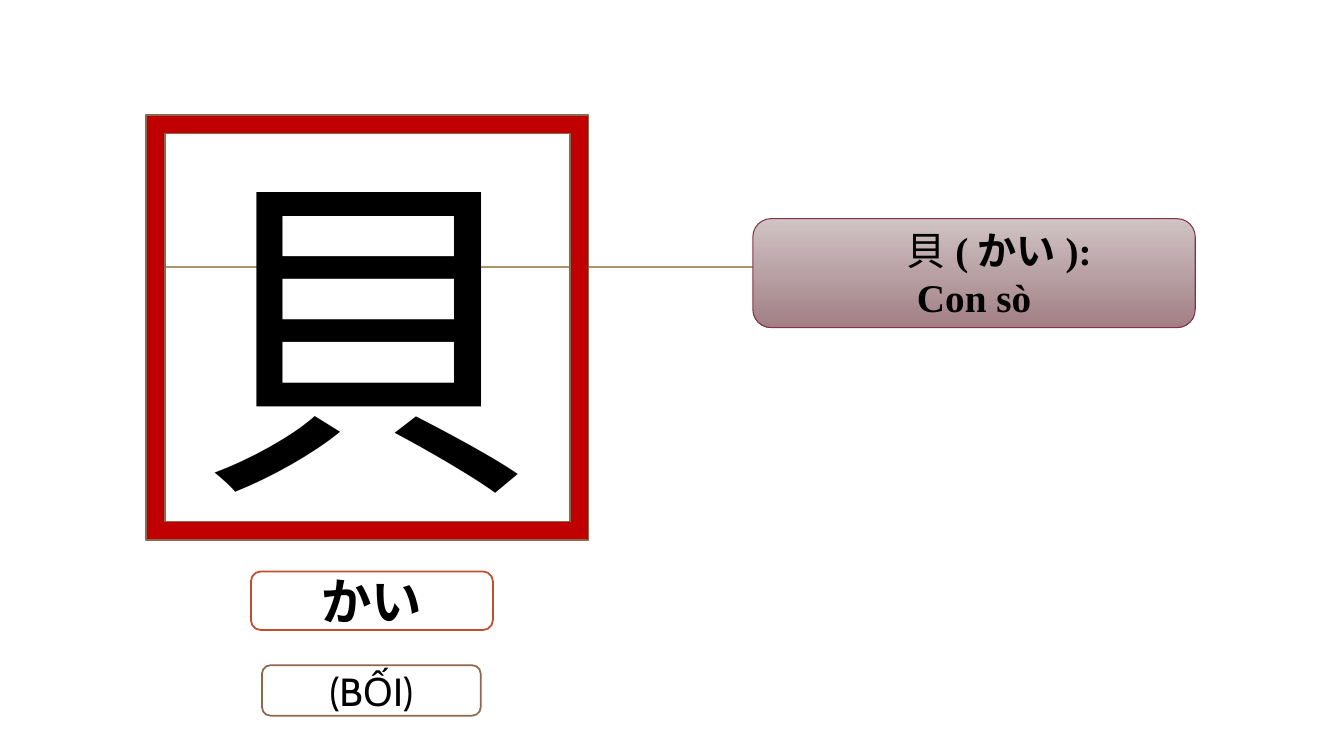
"""Build a kanji card slide with its reading and meaning."""
from lxml import etree
from pptx import Presentation, util as u
from pptx.dml import color
from pptx.enum import shapes, text
from pptx.oxml import ns

COLORS = {
    "black": "000000", "white": "FFFFFF", "red": "C00000",
    "brown": "8E684C", "tan": "AB946B", "orange": "C04F32",
    "plum": "803348", "mauve_light": "D0C3C5", "mauve_dark": "A17F85",
}
SERIF = "Times New Roman"
ROUNDED = shapes.MSO_SHAPE.ROUNDED_RECTANGLE


def rgb(name):
    """Return the named colour."""
    return color.RGBColor.from_string(COLORS[name])


def set_line(line, name, width):
    """Set the colour and width of a line."""
    line.color.rgb = rgb(name)
    line.width = u.Pt(width)


def add_rule(page, left, right, top):
    """Draw the horizontal rule behind the cards."""
    rule = page.shapes.add_connector(
        shapes.MSO_CONNECTOR.STRAIGHT, u.Pt(left), u.Pt(top), u.Pt(right), u.Pt(top))
    set_line(rule.line, "tan", 1.25)
    etree.SubElement(rule._element.spPr, ns.qn("a:effectLst"))


def add_box(page, kind, place, fills, outline, width=1.25):
    """Draw a box with a solid fill, or a downward gradient for two colours."""
    box = page.shapes.add_shape(kind, *(u.Pt(length) for length in place))
    box.shadow.inherit = False
    if len(fills) == 1:
        box.fill.solid()
        box.fill.fore_color.rgb = rgb(fills[0])
    else:
        box.fill.gradient()
        box.fill.gradient_angle = 270
        for stop, name in zip(box.fill.gradient_stops, fills):
            stop.color.rgb = rgb(name)
    set_line(box.line, outline, width)
    return box


def write(box, *lines):
    """Write centred lines, each a list of (words, format) spans."""
    frame = box.text_frame
    frame.word_wrap = True
    frame.vertical_anchor = text.MSO_ANCHOR.MIDDLE
    for index, spans in enumerate(lines):
        para = frame.add_paragraph() if index else frame.paragraphs[0]
        para.alignment = text.PP_ALIGN.CENTER
        for words, values in spans:
            span = para.add_run()
            span.text = words
            span.font.color.rgb = rgb("black")
            for key, value in values.items():
                setattr(span.font, key, value)


def style(size, bold=False, name=SERIF):
    """Return the format values of a span."""
    return {"size": u.Pt(size), "bold": bold, "name": name}


def main():
    """Build and save the slide."""
    deck = Presentation()
    deck.slide_width, deck.slide_height = u.Pt(960), u.Pt(540)
    page = deck.slides.add_slide(deck.slide_layouts[6])

    add_rule(page, 110.2, 850.3, 190.8)

    kanji = add_box(page, shapes.MSO_SHAPE.FRAME, (104.4, 82.1, 316, 303.8), ["red"], "brown")
    kanji.adjustments[0] = 0.044
    write(kanji, [("貝", style(245))])

    sound = add_box(page, ROUNDED, (187.2, 475.2, 156.2, 36), ["white"], "brown")
    write(sound, [("(BỐI)", style(28, name="Cabin"))])

    meaning = add_box(page, ROUNDED, (537.8, 156.2, 316, 77.8),
                      ["mauve_light", "mauve_dark"], "plum", 0.75)
    write(meaning,
          [("\t", style(24, True)), ("貝", style(28)), ("(かい):", style(28, True))],
          [("Con sò", style(28, True))])

    reading = add_box(page, ROUNDED, (179.3, 408.2, 172.8, 41.8), ["white"], "orange")
    write(reading, [("かい", style(36, True))])

    deck.save("out.pptx")


if __name__ == "__main__":
    main()
